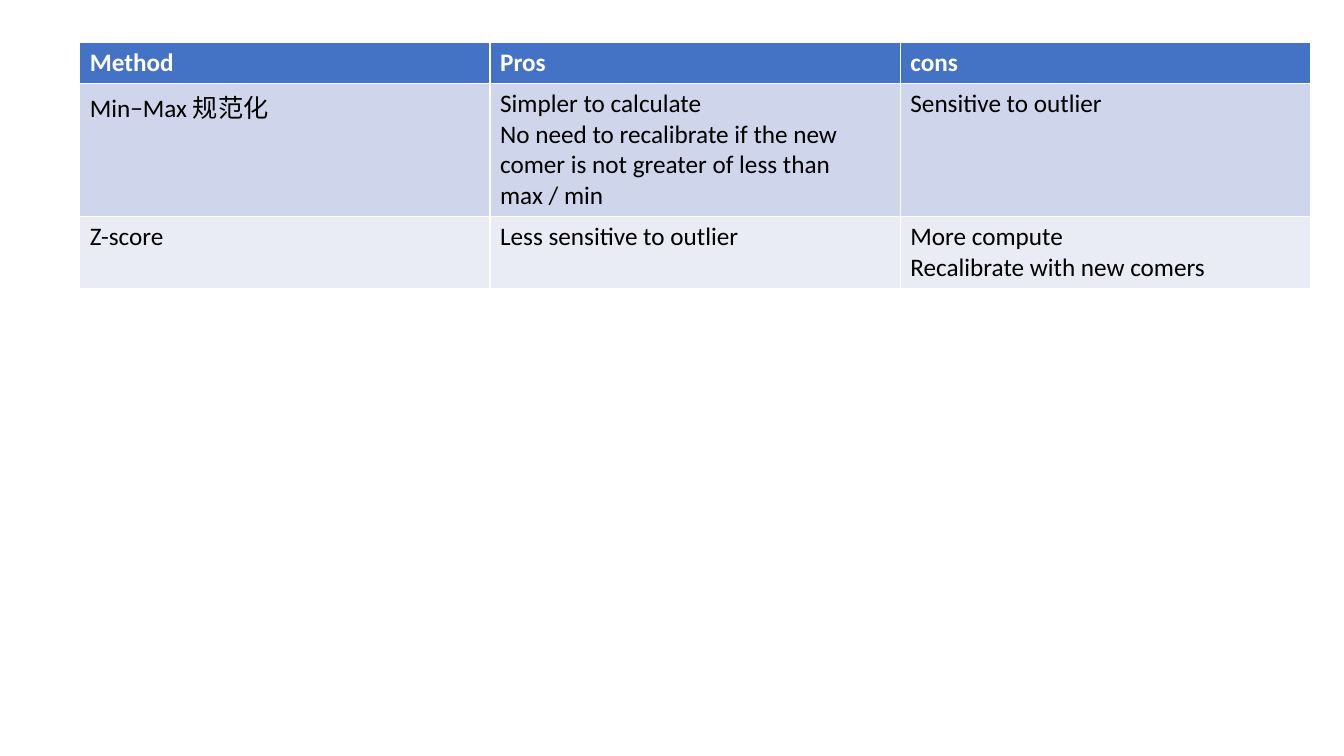
"""Build a slide comparing the pros and cons of two normalisation methods."""
from dataclasses import dataclass

from pptx import Presentation
from pptx.dml.color import RGBColor as Color
from pptx.util import Cm, Pt


@dataclass(frozen=True)
class Theme:
    font: str = "Calibri"
    size: int = 18
    header_fill: str = "4472C4"
    header_text: str = "FFFFFF"
    body_text: str = "000000"
    bands: tuple = ("CFD5EA", "E9EBF5")


theme = Theme()
methods = [
    [["Method"], ["Pros"], ["cons"]],
    [
        ["Min−Max 规范化"],
        [
            "Simpler to calculate",
            "No need to recalibrate if the new comer is not greater of less than max / min",
        ],
        ["Sensitive to outlier"],
    ],
    [
        ["Z-score"],
        ["Less sensitive to outlier"],
        ["More compute", "Recalibrate with new comers"],
    ],
]
row_heights = [1.03, 3.35, 1.78]
column_width = 10.34

deck = Presentation()
deck.slide_width, deck.slide_height = Cm(33.87), Cm(19.05)
page = deck.slides.add_slide(deck.slide_layouts[6])

frame = page.shapes.add_table(
    len(methods), len(methods[0]), Cm(2.01), Cm(1.07),
    Cm(column_width * len(methods[0])), Cm(sum(row_heights)),
)
table = frame.table
for column in table.columns:
    column.width = Cm(column_width)

for row_index, (height, contents) in enumerate(zip(row_heights, methods)):
    table.rows[row_index].height = Cm(height)
    is_header = row_index == 0
    fill = theme.header_fill if is_header else theme.bands[(row_index - 1) % 2]
    ink = theme.header_text if is_header else theme.body_text
    for column_index, lines in enumerate(contents):
        cell = table.cell(row_index, column_index)
        cell.fill.solid()
        cell.fill.fore_color.rgb = Color.from_string(fill)
        body = cell.text_frame
        for line_index, line in enumerate(lines):
            para = body.add_paragraph() if line_index else body.paragraphs[0]
            span = para.add_run()
            span.text = line
            span.font.name = theme.font
            span.font.size = Pt(theme.size)
            span.font.bold = is_header
            span.font.color.rgb = Color.from_string(ink)

deck.save("out.pptx")
